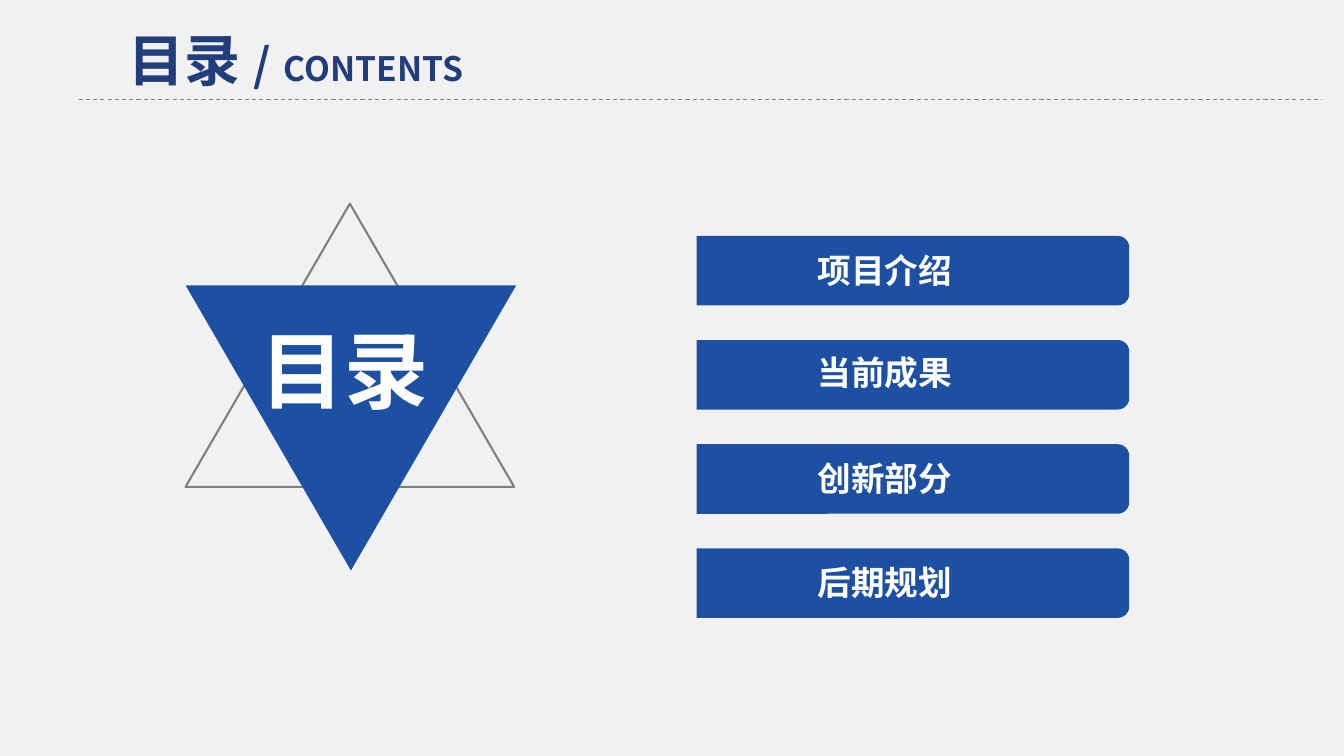
from lxml import etree
from pptx import Presentation
from pptx.dml.color import RGBColor
from pptx.enum.dml import MSO_LINE
from pptx.enum.shapes import MSO_CONNECTOR, MSO_SHAPE
from pptx.enum.text import MSO_AUTO_SIZE, PP_ALIGN
from pptx.oxml.ns import qn
from pptx.util import Inches, Pt

STRAIGHT = MSO_CONNECTOR.STRAIGHT
TRIANGLE = MSO_SHAPE.ISOSCELES_TRIANGLE
ROUNDED_END = MSO_SHAPE.ROUND_2_SAME_RECTANGLE
DASH = MSO_LINE.DASH
GROW = MSO_AUTO_SIZE.SHAPE_TO_FIT_TEXT
LEFT, JUSTIFY = PP_ALIGN.LEFT, PP_ALIGN.JUSTIFY

BACKGROUND = RGBColor(0xF1, 0xF1, 0xF1)
BLUE = RGBColor(0x1D, 0x50, 0xA2)
NAVY = RGBColor(0x22, 0x3D, 0x7B)
GRAY = RGBColor(0x80, 0x80, 0x80)
WHITE = RGBColor(0xFF, 0xFF, 0xFF)
FONT = "Noto Sans CJK SC"

HEADING = [("目录 ", 40), ("/", 32), (" ", 40), ("CONTENTS", 24)]
EMBLEM = [("目录", 60)]
SECTIONS = [("项目介绍", 0.09), ("当前成果", 0.07), ("创新部分", 0.09), ("后期规划", 0.09)]

BAR_LEFT, BAR_TOP, BAR_WIDTH, BAR_HEIGHT = 6.91, 2.34, 4.29, 0.69
BAR_STEP = 3.1 / 3
LABEL_LEFT, LABEL_WIDTH, LABEL_HEIGHT = 8.01, 1.83, 0.5


def add_text(slide, box, runs, color, align=LEFT, wrap=True):
    shape = slide.shapes.add_textbox(*map(Inches, box))
    frame = shape.text_frame
    frame.word_wrap = wrap
    frame.auto_size = GROW
    paragraph = frame.paragraphs[0]
    paragraph.alignment = align
    for text, size in runs:
        run = paragraph.add_run()
        run.text = text
        run.font.size = Pt(size)
        run.font.bold = True
        run.font.color.rgb = color
        run.font.name = FONT
        east_asian = etree.SubElement(run.font._element, qn("a:ea"))
        east_asian.set("typeface", FONT)


def add_shape(slide, kind, box, rotation=0, fill=None, outline=None):
    shape = slide.shapes.add_shape(kind, *map(Inches, box))
    shape.shadow.inherit = False
    shape.rotation = rotation
    if fill is None:
        shape.fill.background()
    else:
        shape.fill.solid()
        shape.fill.fore_color.rgb = fill
    if outline is None:
        shape.line.fill.background()
    else:
        shape.line.color.rgb = outline
        shape.line.width = Pt(1.5)


def add_header(slide):
    add_text(slide, (1.18, 0.2, 3.72, 0.77), HEADING, NAVY, wrap=False)
    rule = slide.shapes.add_connector(
        STRAIGHT, Inches(0.78), Inches(0.99), Inches(13.11), Inches(0.99))
    rule.line.color.rgb = GRAY
    rule.line.width = Pt(0.75)
    rule.line.dash_style = DASH
    etree.SubElement(rule._element.spPr, qn("a:effectLst"))


def add_emblem(slide):
    add_shape(slide, TRIANGLE, (1.84, 2.02, 3.26, 2.81), outline=GRAY)
    add_shape(slide, TRIANGLE, (1.84, 2.83, 3.28, 2.83), rotation=180, fill=BLUE)
    add_text(slide, (2.49, 3.11, 2.03, 1.11), EMBLEM, WHITE)


def add_sections(slide):
    turn = (BAR_WIDTH - BAR_HEIGHT) / 2
    for index, (name, inset) in enumerate(SECTIONS):
        top = BAR_TOP + index * BAR_STEP
        upright = (BAR_LEFT + turn, top - turn, BAR_HEIGHT, BAR_WIDTH)
        add_shape(slide, ROUNDED_END, upright, rotation=90, fill=BLUE)
        label = (LABEL_LEFT, top + inset, LABEL_WIDTH, LABEL_HEIGHT)
        add_text(slide, label, [(name, 24)], WHITE, JUSTIFY)


def main():
    presentation = Presentation()
    presentation.slide_width = Inches(13.33)
    presentation.slide_height = Inches(7.5)
    slide = presentation.slides.add_slide(presentation.slide_layouts[6])
    slide.background.fill.solid()
    slide.background.fill.fore_color.rgb = BACKGROUND
    add_header(slide)
    add_emblem(slide)
    add_sections(slide)
    presentation.save("out.pptx")


if __name__ == "__main__":
    main()
